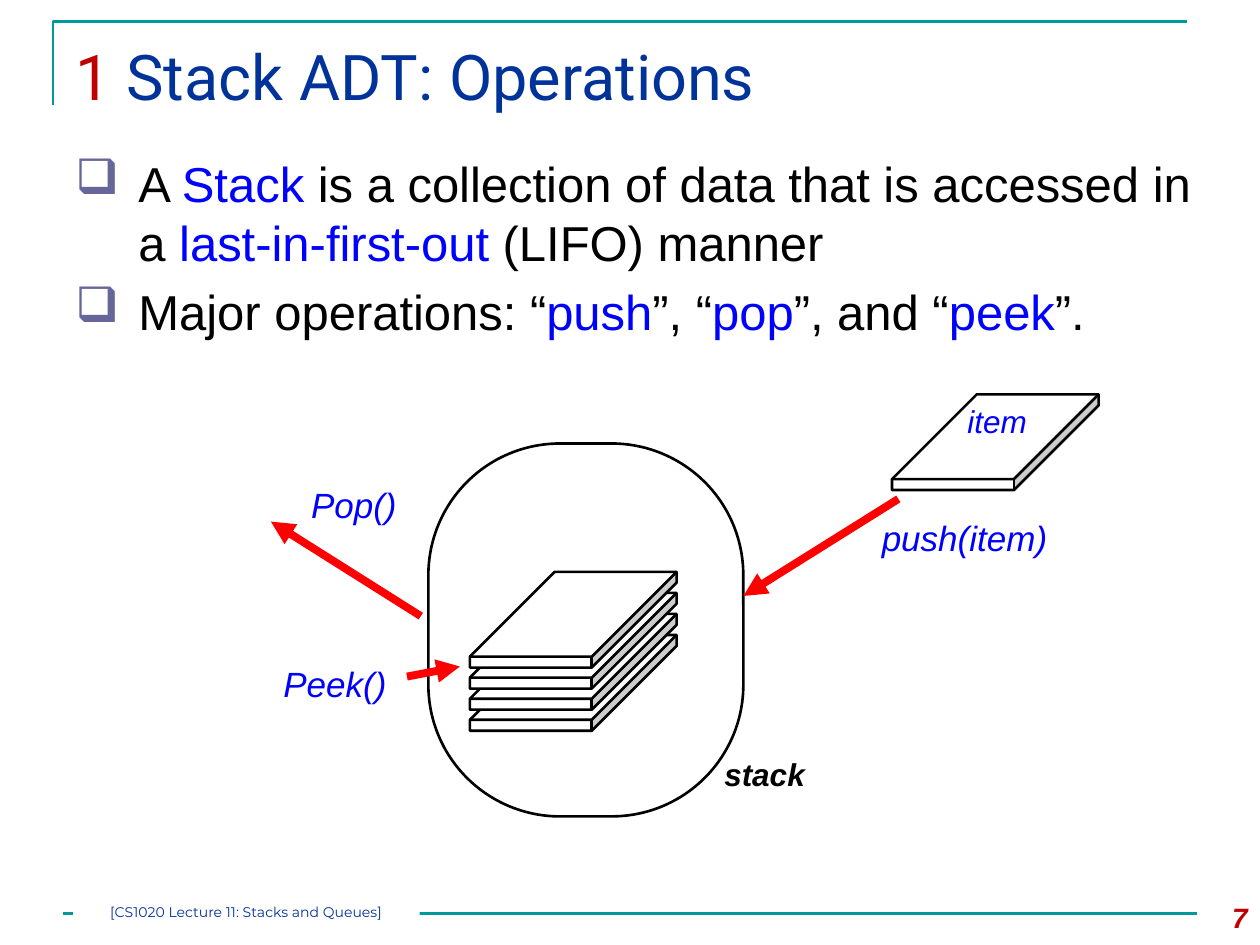
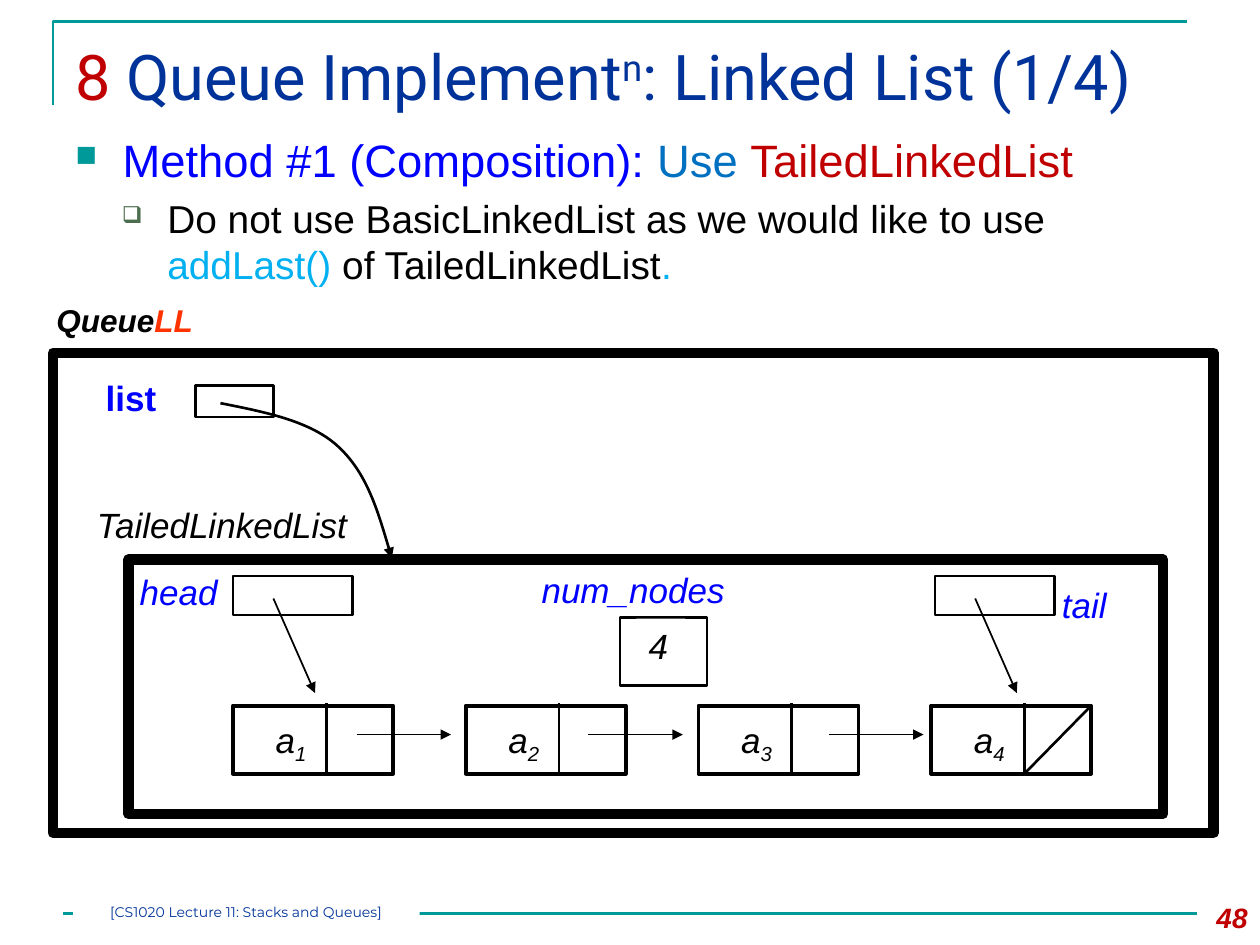
import pptx
import pptx.util
import pptx.dml.color
import pptx.enum.text
import pptx.enum.shapes
import pptx.oxml.ns
from lxml import etree

COLORS = {
    "teal": "009999", "navy": "003399", "crimson": "C00000", "black": "000000",
    "blue": "0000FF", "red": "FF0000", "white": "FFFFFF", "lilac": "666699",
    "azure": "0070C0", "sky": "00B0F0", "moss": "4C6D4E", "orange": "FF3300",
}
COLUMNS, ROWS = 100, 75
CELL = pptx.util.Inches(10) / COLUMNS
SHAPES = pptx.enum.shapes.MSO_SHAPE
ALIGN = pptx.enum.text.PP_ALIGN
AUTO = pptx.enum.text.MSO_AUTO_SIZE
qn = pptx.oxml.ns.qn

FORMATS = {
    "title": {"name": "Roboto", "size": 36},
    "page": {"name": "Arial", "size": 16, "bold": True, "italic": True},
    "footer": {"name": "Montserrat", "size": 8},
    "body": {"name": "Arial", "size": 28},
    "method": {"name": "Arial", "size": 25.9},
    "detail": {"name": "Arial", "size": 22.2},
    "label": {"name": "Arial", "size": 20, "italic": True},
    "field": {"name": "Arial", "size": 20, "bold": True},
    "item": {"name": "Arial", "size": 18, "italic": True},
    "owner": {"name": "Arial", "size": 18, "bold": True, "italic": True},
}
BULLETS = {
    "body": {"char": "❑", "color": "lilac", "size": 100, "left": 5, "hang": 5, "level": 0},
    "method": {"char": "■", "color": "teal", "size": 65, "left": 3.75, "hang": 3.75, "level": 0},
    "detail": {"char": "❑", "color": "moss", "size": 60, "left": 7.3, "hang": 3.6, "level": 1},
}
FOOTER = "[CS1020 Lecture 11: Stacks and Queues]"

STACK = {
    "title": [("1 ", "crimson"), ("Stack ADT: Operations", "navy")],
    "page": "7",
    "area": (5, 11.7, 91.7, 15.8),
    "points": [
        ("body", [("A ", "black"), ("Stack", "blue"),
                  (" is a collection of data that is accessed in a ", "black"),
                  ("last-in-first-out", "blue"), (" (LIFO) manner", "black")]),
        ("body", [("Major operations: “", "black"), ("push", "blue"), ("”, “", "black"),
                  ("pop", "blue"), ("”, and “", "black"), ("peek", "blue"), ("”. ", "black")]),
    ],
}
QUEUE = {
    "title": [("8 ", "crimson"), ("Queue Implement", "navy"), ("n", "navy", 30),
              (": Linked List (1/4)", "navy")],
    "page": "48",
    "area": (5, 10, 90, 12.5),
    "points": [
        ("method", [("Method #1 (Composition): ", "blue"), ("Use ", "azure"),
                    ("TailedLinkedList", "crimson")]),
        ("detail", [("Do not use BasicLinkedList as we would like to use ", "black"),
                    ("addLast() ", "sky"), ("of TailedLinkedList", "black"), (".", "sky")]),
    ],
}
STACK_LABELS = [
    ((56.5, 59.4, 10.6, 5), "owner", [("stack", "black")]),
    ((69, 40.5, 15.3, 4.4), "label", [("push(item)", "blue")]),
    ((23.7, 37.9, 8.8, 4.3), "label", [("Pop()", "blue")]),
    ((21.5, 52.1, 10.2, 4.3), "label", [("Peek()", "blue")]),
    ((75.8, 31.4, 6.8, 4), "item", [("item", "blue")]),
]
STACK_ARROWS = [
    ((71.3, 39.6), (59, 47.3)), ((33.4, 48.9), (21.5, 41.4)), ((32.3, 53.7), (36.5, 52.9)),
]
QUEUE_LABELS = [
    ((3.5, 23.4, 13, 4), "owner", [("Queue", "black"), ("LL", "orange")]),
    ((7.4, 29.4, 6, 4.3), "field", [("list", "blue")]),
    ((10.1, 44.8, 8.2, 4.3), "label", [("head", "blue")]),
    ((6.7, 39.5, 22.1, 4.4), "label", [("TailedLinkedList", "black")]),
    ((83.3, 45.8, 5.6, 4.4), "label", [("tail", "blue")]),
]
QUEUE_BOXES = [
    ((4.2, 28, 92.1, 38.1), 6), ((15.5, 30.6, 6.2, 2.5), 1.5),
    ((10.2, 44.4, 82.1, 20.2), 6), ((18.5, 45.7, 9.5, 3.1), 1.5),
    ((74.2, 45.7, 9.5, 3.1), 1.5),
]
NODE_COUNT, NODE_LEFT, NODE_TOP, NODE_STEP = 4, 18.5, 56, 18.47
NEXT_STARTS = [28.3, 46.7, 65.8]
END_STARTS = [21.7, 77.4]
LIST_CURVE = [(17.5, 32), (21, 32.7), (24.6, 33.4), (26.8, 35.4),
              (29.1, 37.5), (30.1, 40.9), (31.1, 44.3)]


def cells(values):
    return [round(value * CELL) for value in values]


def rgb(name):
    return pptx.dml.color.RGBColor.from_string(COLORS[name])


def set_line(item, color, width, arrow=False):
    item.line.color.rgb = rgb(color)
    item.line.width = pptx.util.Pt(width)
    if arrow:
        etree.SubElement(item.line._get_or_add_ln(), qn("a:tailEnd"), type="triangle")


def add_line(slide, start, end, color="black", width=1.5, arrow=False):
    line = slide.shapes.add_connector(
        pptx.enum.shapes.MSO_CONNECTOR.STRAIGHT, *cells(start + end))
    set_line(line, color, width, arrow)
    etree.SubElement(line._element.spPr, qn("a:effectLst"))


def add_box(slide, kind, area, fill=None, width=None, adjust=None):
    box = slide.shapes.add_shape(kind, *cells(area))
    box.shadow.inherit = False
    if fill:
        box.fill.solid()
        box.fill.fore_color.rgb = rgb(fill)
    else:
        box.fill.background()
    if width:
        set_line(box, "black", width)
    else:
        box.line.fill.background()
    if adjust is not None:
        box.adjustments[0] = adjust
    return box


def add_outline(slide, points, color, width, arrow=False):
    start, *rest = [cells(point) for point in points]
    builder = slide.shapes.build_freeform(*start)
    builder.add_line_segments(rest, close=False)
    outline = builder.convert_to_shape()
    outline.shadow.inherit = False
    outline.fill.background()
    set_line(outline, color, width, arrow)
    return outline


def write_runs(paragraph, style, runs):
    for text, color, *raised in runs:
        run = paragraph.add_run()
        run.text = text
        for name, value in FORMATS[style].items():
            setattr(run.font, name, pptx.util.Pt(value) if name == "size" else value)
        run.font.color.rgb = rgb(color)
        if raised:
            run._r.get_or_add_rPr().set("baseline", str(raised[0] * 1000))


def fill_text(holder, style, runs, align=ALIGN.LEFT, **options):
    frame = holder.text_frame
    settings = {"word_wrap": True, "auto_size": AUTO.NONE,
                "vertical_anchor": pptx.enum.text.MSO_ANCHOR.TOP, **options}
    for name, value in settings.items():
        setattr(frame, name, value)
    frame.paragraphs[0].alignment = align
    write_runs(frame.paragraphs[0], style, runs)


def add_text(slide, area, style, runs, align=ALIGN.LEFT, **options):
    fill_text(slide.shapes.add_textbox(*cells(area)), style, runs, align, **options)


def add_labels(slide, labels):
    for area, style, runs in labels:
        add_text(slide, area, style, runs, word_wrap=False, auto_size=AUTO.SHAPE_TO_FIT_TEXT)


def add_points(slide, area, points):
    frame = slide.shapes.add_textbox(*cells(area)).text_frame
    frame.word_wrap = True
    for index, (style, runs) in enumerate(points):
        paragraph = frame.add_paragraph() if index else frame.paragraphs[0]
        bullet = BULLETS[style]
        paragraph.level = bullet["level"]
        paragraph.space_before = pptx.util.Pt(round(FORMATS[style]["size"] * 0.2, 1))
        properties = paragraph._p.get_or_add_pPr()
        left, hang = cells((bullet["left"], bullet["hang"]))
        properties.set("marL", str(left))
        properties.set("indent", str(-hang))
        tint = etree.SubElement(properties, qn("a:buClr"))
        etree.SubElement(tint, qn("a:srgbClr"), val=COLORS[bullet["color"]])
        etree.SubElement(properties, qn("a:buSzPct"), val=str(bullet["size"] * 1000))
        etree.SubElement(properties, qn("a:buChar"), char=bullet["char"])
        write_runs(paragraph, style, runs)


def start_slide(deck, content):
    slide = deck.slides.add_slide(deck.slide_layouts[6])
    add_outline(slide, [(4.2, 8.3), (4.2, 1.7), (94.2, 1.7)], "teal", 1.5)
    add_line(slide, (5, 72.5), (95, 72.5), "teal")
    add_text(slide, (5, 2.5, 90, 8.6), "title", content["title"])
    add_text(slide, (93.3, 71, 6.7, 4), "page", [(content["page"], "crimson")], ALIGN.RIGHT)
    footer = add_box(slide, SHAPES.RECTANGLE, (5.8, 71.7, 27.5, 1.7), "white")
    fill_text(footer, "footer", [(FOOTER, "navy")], ALIGN.CENTER,
              margin_left=0, margin_top=0, margin_right=0, margin_bottom=0)
    add_points(slide, content["area"], content["points"])
    return slide


def draw_stack(slide):
    add_box(slide, SHAPES.ROUNDED_RECTANGLE, (34, 35.2, 25, 29.6), "white", 1.5, 0.418)
    plates = [(37.3, 50.4 - 1.67 * level) for level in range(4)] + [(70.8, 31.3)]
    for left, top in plates:
        add_box(slide, SHAPES.CUBE, (left, top, 16.4, 7.6), "white", 1.5, 0.886)
    for start, end in STACK_ARROWS:
        add_line(slide, start, end, "red", 4.5, arrow=True)
    add_labels(slide, STACK_LABELS)


def draw_queue(slide):
    num_nodes = add_box(slide, SHAPES.RECTANGLE, (42, 44.6, 18, 4.4), "white")
    fill_text(num_nodes, "label", [("num_nodes", "blue")])
    add_box(slide, SHAPES.RECTANGLE, (49.2, 49, 6.9, 5.4), "white", 1.5)
    for area, width in QUEUE_BOXES:
        add_box(slide, SHAPES.RECTANGLE, area, width=width)
    add_labels(slide, QUEUE_LABELS)
    for index in range(NODE_COUNT):
        left = NODE_LEFT + index * NODE_STEP
        divider = left + 7.4
        add_box(slide, SHAPES.RECTANGLE, (left, NODE_TOP, 12.7, 5.4), width=2.25)
        add_line(slide, (divider, NODE_TOP - 0.2), (divider, NODE_TOP + 5.3))
        add_labels(slide, [((left + 2.4, NODE_TOP + 0.5, 4.6, 4.3), "label",
                            [("a", "black"), (str(index + 1), "black", -25)])])
    add_line(slide, (left + 12.6, NODE_TOP + 0.1), (divider, NODE_TOP + 5.4))
    for start in NEXT_STARTS:
        add_line(slide, (start, 58.3), (start + 7.5, 58.3), width=1, arrow=True)
    for start in END_STARTS:
        add_line(slide, (start, 47.5), (start + 3.3, 55), width=1, arrow=True)
    count = add_box(slide, SHAPES.RECTANGLE, (50.5, 49.1, 3.9, 4.4), "white")
    fill_text(count, "label", [("4", "black")])
    curve = add_outline(slide, LIST_CURVE, "black", 1.5, arrow=True)
    steps = list(curve._element.iter(qn("a:lnTo")))
    for first in range(0, len(steps), 3):
        bend = etree.SubElement(steps[first].getparent(), qn("a:cubicBezTo"))
        for step in steps[first:first + 3]:
            bend.append(step[0])
            step.getparent().remove(step)


deck = pptx.Presentation()
deck.slide_width, deck.slide_height = cells((COLUMNS, ROWS))
draw_stack(start_slide(deck, STACK))
draw_queue(start_slide(deck, QUEUE))
deck.save("out.pptx")
